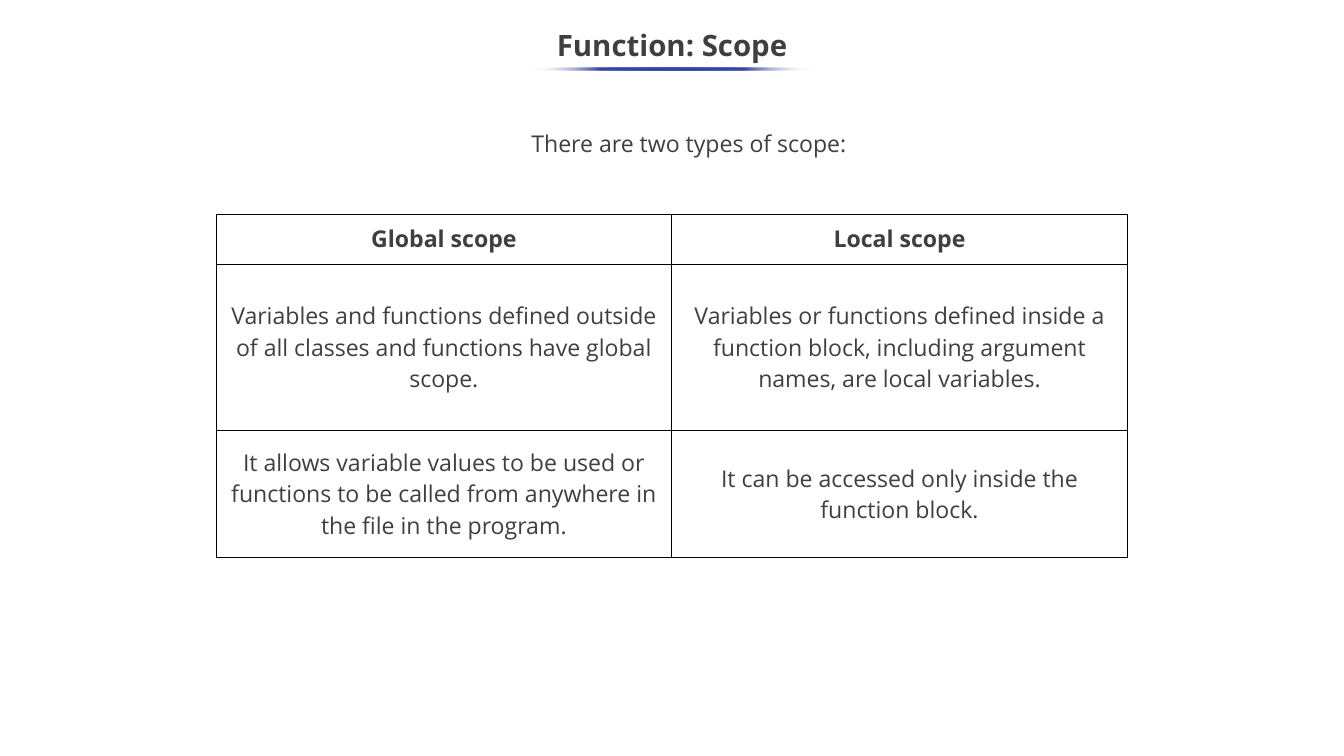
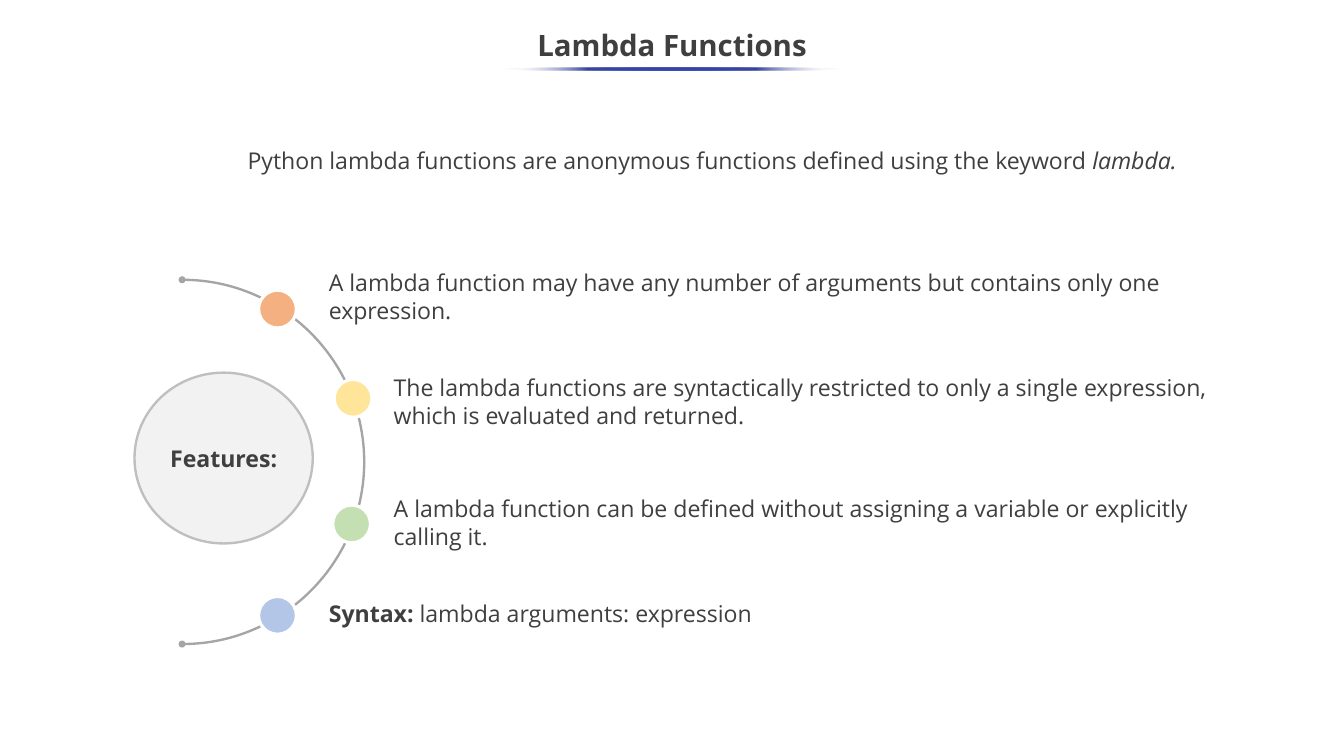
from lxml import etree
from pptx import Presentation
from pptx.dml.color import RGBColor
from pptx.enum.shapes import MSO_SHAPE
from pptx.enum.text import MSO_ANCHOR, PP_ALIGN
from pptx.oxml import parse_xml
from pptx.oxml.ns import qn
from pptx.util import Cm, Pt

CENTER, LEFT = PP_ALIGN.CENTER, PP_ALIGN.LEFT
MIDDLE, TOP = MSO_ANCHOR.MIDDLE, MSO_ANCHOR.TOP
OVAL, ARC = MSO_SHAPE.OVAL, MSO_SHAPE.ARC
DRAWING = "http://schemas.openxmlformats.org/drawingml/2006/main"

# Shared look
INK = RGBColor(0x3F, 0x3F, 0x3F)
WHITE = RGBColor(0xFF, 0xFF, 0xFF)
BLACK = RGBColor(0, 0, 0)
ACCENT = RGBColor(0x36, 0x45, 0xA9)
ARC_GRAY = RGBColor(0xA5, 0xA5, 0xA5)
HUB_FILL = RGBColor(0xF2, 0xF2, 0xF2)
HUB_LINE = RGBColor(0xBF, 0xBF, 0xBF)
ORANGE = RGBColor(0xF4, 0xB0, 0x81)
YELLOW = RGBColor(0xFE, 0xE5, 0x99)
GREEN = RGBColor(0xC4, 0xE0, 0xB2)
BLUE = RGBColor(0xB3, 0xC6, 0xE7)
FONT = "Open Sans"
BODY_SIZE, TITLE_SIZE = 22, 28
PAGE_WIDTH, PAGE_HEIGHT = 45.16, 25.4
BOLD, ITALIC = {"bold": True}, {"italic": True}

# Content: spans are (text, format); lengths are centimetres
SCOPE_TITLE, SCOPE_UNDERLINE = "Function: Scope", 9.68
SCOPE_INTRO = [("There are two types of scope:", {})]
SCOPE_ROWS = [
    ("Global scope", "Local scope"),
    ("Variables and functions defined outside of all classes and functions have global scope.",
     "Variables or functions defined inside a function block, including argument names, "
     "are local variables."),
    ("It allows variable values to be used or functions to be called from anywhere "
     "in the file in the program.",
     "It can be accessed only inside the function block."),
]
ROW_HEIGHTS = (1.68, 5.59, 4.27)
COLUMN_WIDTH = 15.31

LAMBDA_TITLE, LAMBDA_UNDERLINE = "Lambda Functions", 11.33
LAMBDA_INTRO = [
    ("Python lambda functions are anonymous functions defined using the keyword ", {}),
    ("lambda.", ITALIC),
]
HUB_LABEL = [("Features:", BOLD)]
# (dot colour, dot left, dot top, text box, spans)
FEATURES = [
    (ORANGE, 8.69, 9.75, (10.8, 8.89, 29.26, 2.36),
     [("A lambda function may have any number of arguments but contains only one "
       "expression.", {})]),
    (YELLOW, 11.23, 12.75, (12.98, 12.42, 28.63, 2.41),
     [("The lambda functions are syntactically restricted to only a single expression, "
       "which is evaluated and returned.", {})]),
    (GREEN, 11.18, 16.97, (12.98, 16.48, 28.63, 2.41),
     [("A lambda function can be defined without assigning a variable or explicitly "
       "calling it.", {})]),
    (BLUE, 8.69, 20.04, (10.8, 20.02, 30.12, 1.27),
     [("Syntax: ", BOLD), ("lambda arguments: expression", {})]),
]
DOT_SIZE = 1.27


def write(frame, spans, align=CENTER, size=BODY_SIZE, spacing=None):
    para = frame.paragraphs[0]
    para.alignment = align
    if spacing:
        para.line_spacing = spacing
    for text, extra in spans:
        span = para.add_run()
        span.text = text
        span.font.color.rgb = INK
        for name, value in {"name": FONT, "size": Pt(size), **extra}.items():
            setattr(span.font, name, value)


def add_text(page, place, spans, anchor=TOP, **style):
    box = page.shapes.add_textbox(*map(Cm, place))
    box.text_frame.word_wrap = True
    box.text_frame.vertical_anchor = anchor
    write(box.text_frame, spans, **style)


def add_figure(page, kind, place, fill=None, line=None, weight=0):
    figure = page.shapes.add_shape(kind, *map(Cm, place))
    figure.shadow.inherit = False
    if fill is None:
        figure.fill.background()
    else:
        figure.fill.solid()
        figure.fill.fore_color.rgb = fill
    if line is None:
        figure.line.fill.background()
    else:
        figure.line.color.rgb = line
        figure.line.width = Pt(weight)
    return figure


def fade_ends(figure):
    """Fill with the accent colour, fading to clear at both ends."""
    stops = ""
    for position in range(0, 101, 25):
        clear = position in (0, 100)
        color = WHITE if clear else ACCENT
        alpha = '<a:alpha val="0"/>' if clear else ""
        stops += (f'<a:gs pos="{position * 1000}">'
                  f'<a:srgbClr val="{color}">{alpha}</a:srgbClr></a:gs>')
    gradient = parse_xml(f'<a:gradFill xmlns:a="{DRAWING}" rotWithShape="1">'
                         f'<a:gsLst>{stops}</a:gsLst>'
                         f'<a:lin ang="10800000" scaled="0"/></a:gradFill>')
    properties = figure.element.spPr
    properties.replace(properties.find(qn("a:noFill")), gradient)


def border(cell):
    properties = cell._tc.get_or_add_tcPr()
    for position, side in enumerate(("a:lnL", "a:lnR", "a:lnT", "a:lnB")):
        line = etree.Element(qn(side), w=str(Pt(1)))
        fill = etree.SubElement(line, qn("a:solidFill"))
        etree.SubElement(fill, qn("a:srgbClr"), val=str(BLACK))
        properties.insert(position, line)


def add_page(deck, title, underline_width):
    page = deck.slides.add_slide(deck.slide_layouts[6])
    add_text(page, (0, 0.64, PAGE_WIDTH, 1.9), [(title, BOLD)],
             anchor=MIDDLE, size=TITLE_SIZE, spacing=0.9)
    left = (PAGE_WIDTH - underline_width) / 2
    fade_ends(add_figure(page, OVAL, (left, 2.26, underline_width, 0.1)))
    return page


def build_scope(deck):
    page = add_page(deck, SCOPE_TITLE, SCOPE_UNDERLINE)
    add_text(page, (8.38, 4.24, 29.54, 1.27), SCOPE_INTRO)

    # Comparison table
    columns = len(SCOPE_ROWS[0])
    place = (7.26, 7.19, columns * COLUMN_WIDTH, sum(ROW_HEIGHTS))
    table = page.shapes.add_table(len(SCOPE_ROWS), columns, *map(Cm, place)).table
    table.first_row = table.horz_banding = False
    for column in table.columns:
        column.width = Cm(COLUMN_WIDTH)
    for row_index, texts in enumerate(SCOPE_ROWS):
        table.rows[row_index].height = Cm(ROW_HEIGHTS[row_index])
        for column_index, text in enumerate(texts):
            cell = table.cell(row_index, column_index)
            cell.vertical_anchor = MIDDLE
            cell.fill.background()
            border(cell)
            write(cell.text_frame, [(text, {"bold": row_index == 0})])


def build_lambda(deck):
    page = add_page(deck, LAMBDA_TITLE, LAMBDA_UNDERLINE)
    add_text(page, (3.56, 3.68, 40.74, 3.43), LAMBDA_INTRO, anchor=MIDDLE)

    # Half circle with round ends, from 270 to 90 degrees
    arc = add_figure(page, ARC, (0, 9.4, 12.24, 12.24), line=ARC_GRAY, weight=2.25)
    for index, degrees in enumerate((270, 90)):
        arc.adjustments[index] = degrees * 0.6
    for end in ("a:headEnd", "a:tailEnd"):
        etree.SubElement(arc.line._get_or_add_ln(), qn(end), type="oval")

    # Hub
    hub = add_figure(page, OVAL, (4.52, 12.52, 5.99, 5.74), HUB_FILL, HUB_LINE, 2.25)
    hub.text_frame.vertical_anchor = MIDDLE
    write(hub.text_frame, HUB_LABEL)

    # Features along the arc
    for color, left, top, place, spans in FEATURES:
        add_figure(page, OVAL, (left, top, DOT_SIZE, DOT_SIZE), color, WHITE, 3)
        add_text(page, place, spans, align=LEFT)


def main():
    deck = Presentation()
    deck.slide_width, deck.slide_height = Cm(PAGE_WIDTH), Cm(PAGE_HEIGHT)
    build_scope(deck)
    build_lambda(deck)
    deck.save("out.pptx")


if __name__ == "__main__":
    main()
